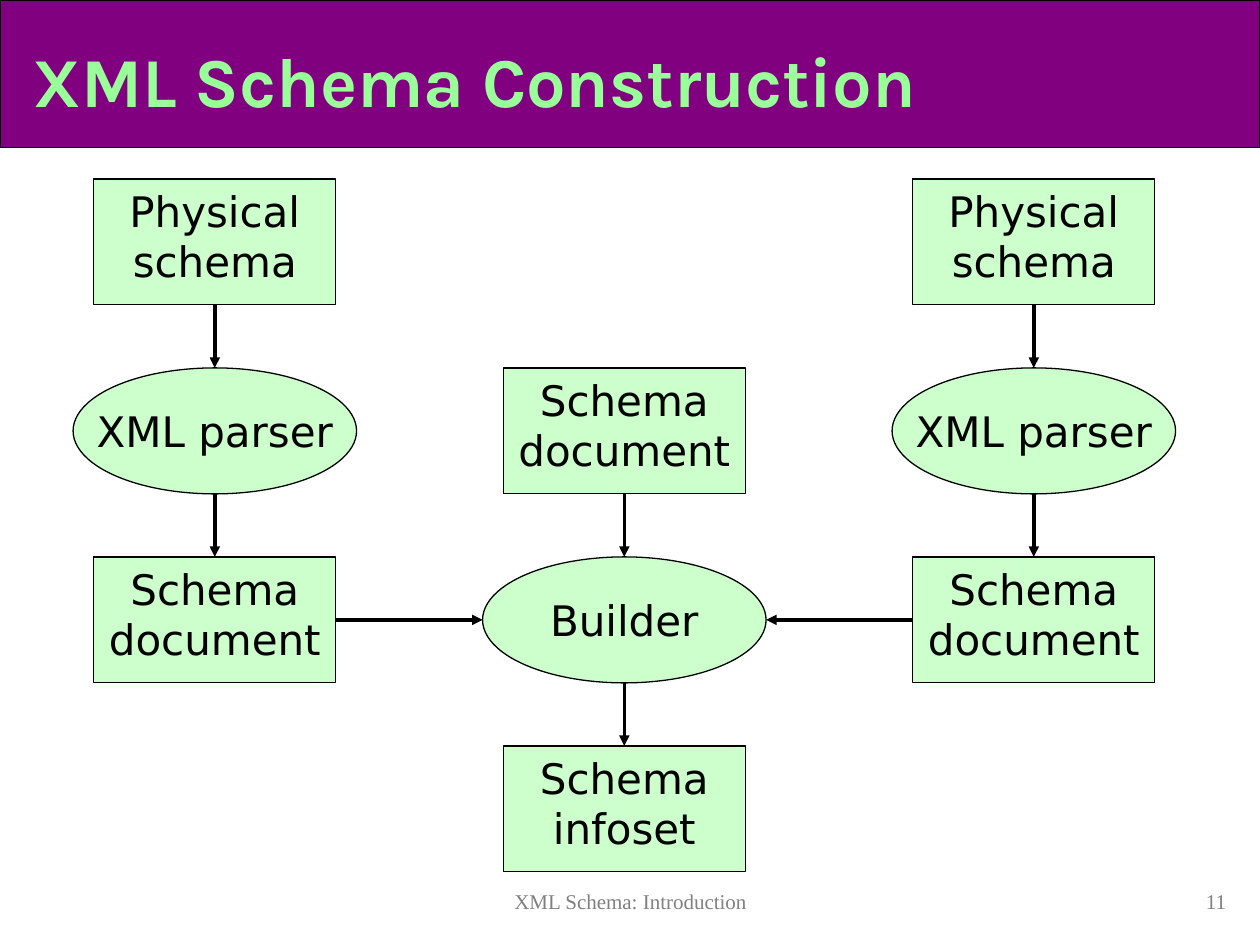
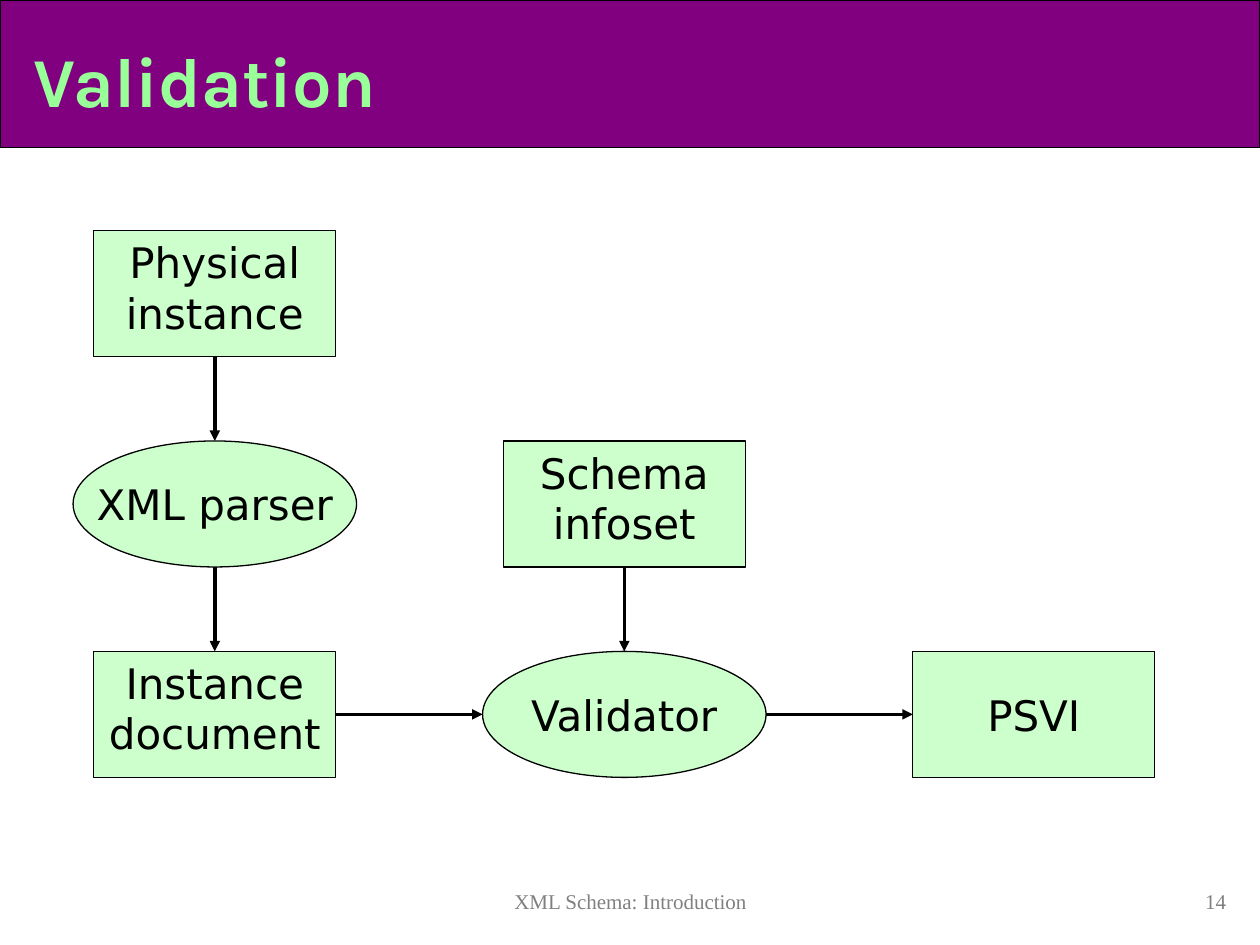
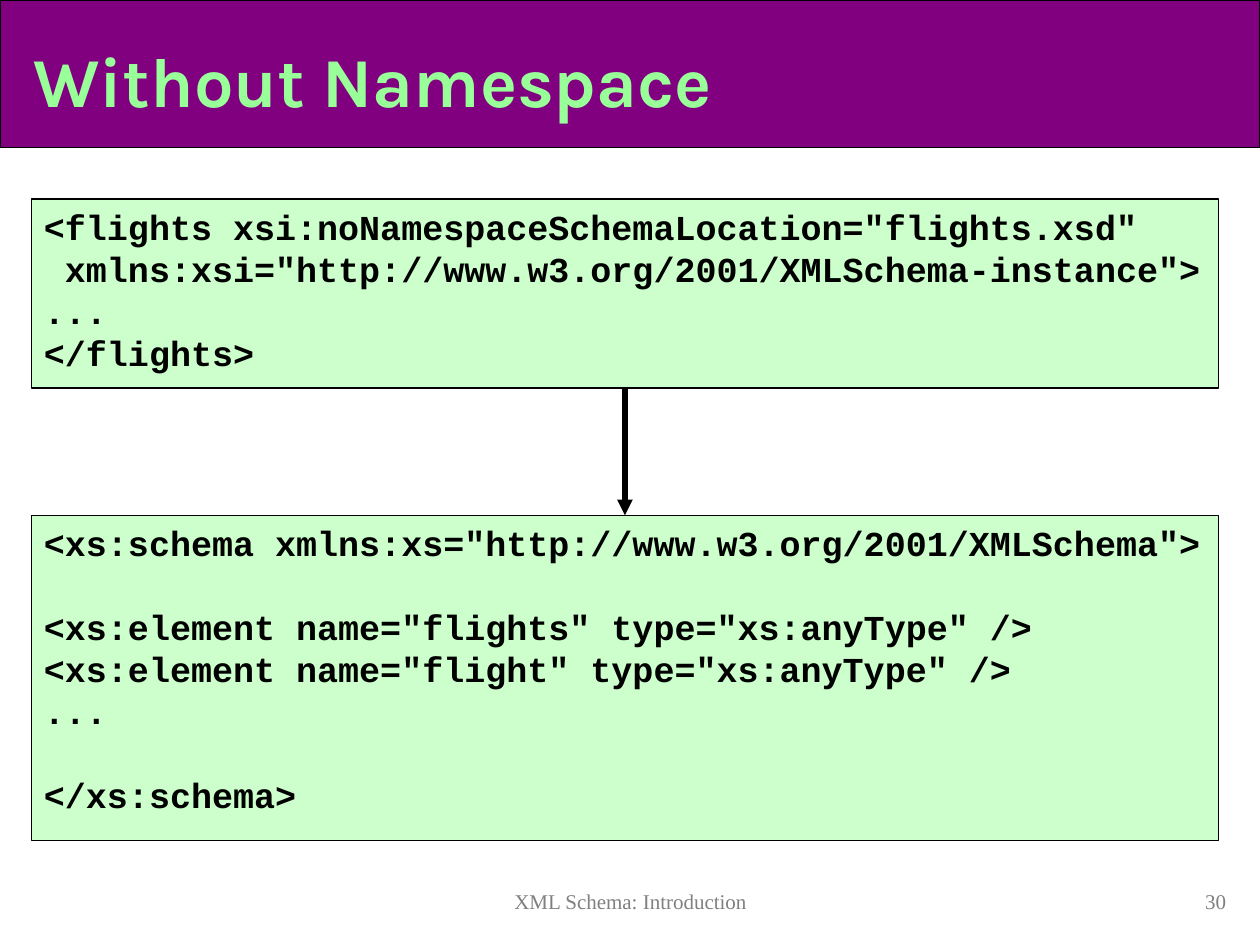
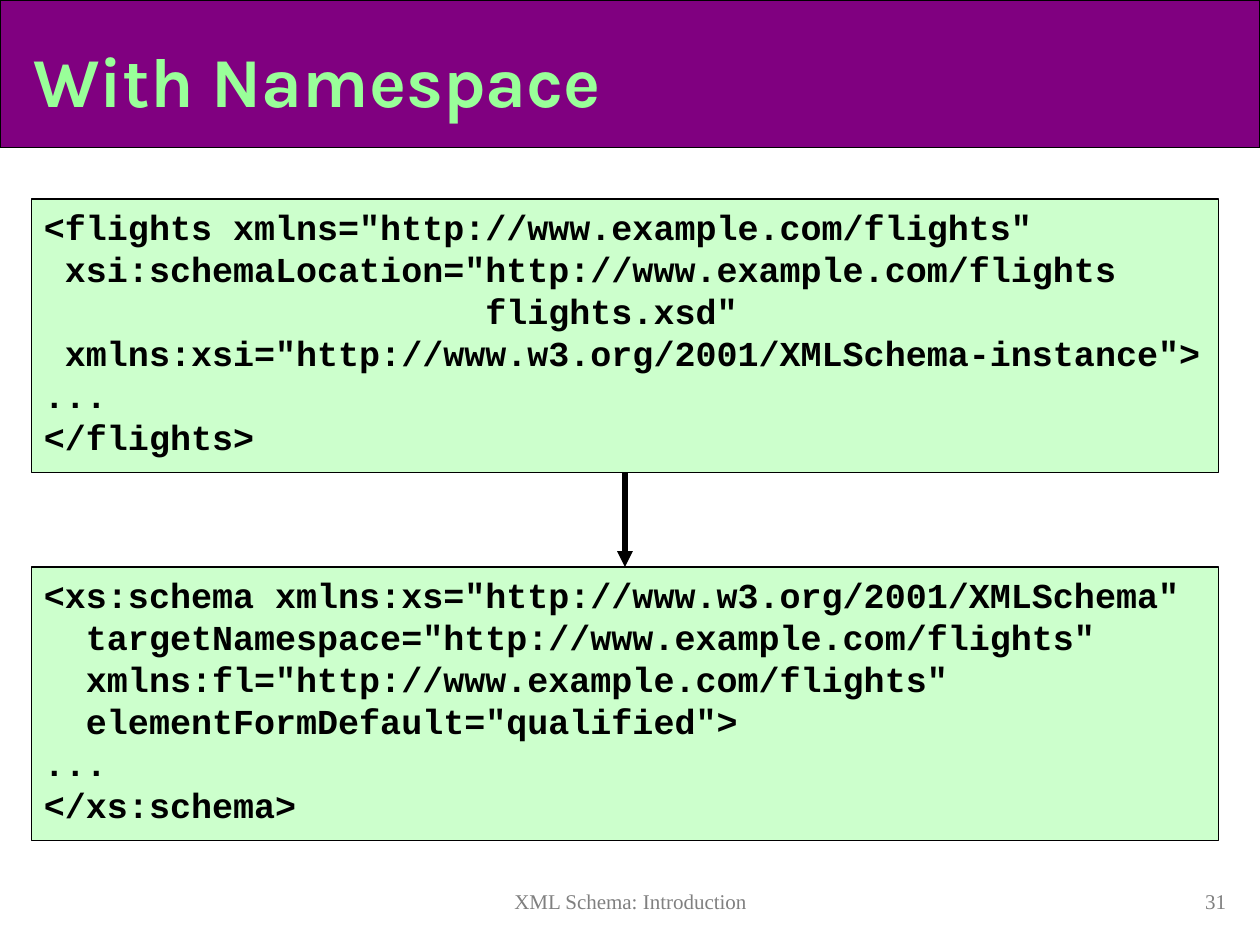
from pptx import Presentation
from pptx.dml.color import RGBColor
from pptx.enum import shapes, text
from pptx.oxml import parse_xml
from pptx.oxml.ns import nsdecls
from pptx.util import Inches, Pt

COLORS = {
    "band": "800080",
    "title": "99FF99",
    "panel": "CCFFCC",
    "ink": "000000",
    "footer": "808080",
}
TITLE_FONT = "Karla"
NODE_FONT = "DejaVu Sans"
CODE_FONT = "Courier New"
FOOTER_FONT = "Times New Roman"

NODE_HEIGHT = 1
BOX_WIDTH = 1.92
OVAL_WIDTH = 2.25
LINE_FACTOR = 1.2
TOP, LEFT, BOTTOM, RIGHT = range(4)
START, CENTER, END = text.PP_ALIGN.LEFT, text.PP_ALIGN.CENTER, text.PP_ALIGN.RIGHT
RECT, OVAL = shapes.MSO_SHAPE.RECTANGLE, shapes.MSO_SHAPE.OVAL

CONSTRUCTION = {
    "left source": (0, 0, RECT, "Physical schema"),
    "left parser": (0, 1, OVAL, "XML parser"),
    "left document": (0, 2, RECT, "Schema document"),
    "middle document": (1, 1, RECT, "Schema document"),
    "builder": (1, 2, OVAL, "Builder"),
    "infoset": (1, 3, RECT, "Schema infoset"),
    "right source": (2, 0, RECT, "Physical schema"),
    "right parser": (2, 1, OVAL, "XML parser"),
    "right document": (2, 2, RECT, "Schema document"),
}
CONSTRUCTION_LINKS = [
    ("left source", BOTTOM, "left parser", TOP),
    ("left parser", BOTTOM, "left document", TOP),
    ("right source", BOTTOM, "right parser", TOP),
    ("right parser", BOTTOM, "right document", TOP),
    ("left document", RIGHT, "builder", LEFT),
    ("right document", LEFT, "builder", RIGHT),
    ("middle document", BOTTOM, "builder", TOP),
    ("builder", BOTTOM, "infoset", TOP),
]

VALIDATION = {
    "source": (0, 0, RECT, "Physical instance"),
    "parser": (0, 1, OVAL, "XML parser"),
    "document": (0, 2, RECT, "Instance document"),
    "infoset": (1, 1, RECT, "Schema infoset"),
    "validator": (1, 2, OVAL, "Validator"),
    "result": (2, 2, RECT, "PSVI"),
}
VALIDATION_LINKS = [
    ("source", BOTTOM, "parser", TOP),
    ("parser", BOTTOM, "document", TOP),
    ("document", RIGHT, "validator", LEFT),
    ("validator", RIGHT, "result", LEFT),
    ("infoset", BOTTOM, "validator", TOP),
]

PLAIN_INSTANCE = """<flights xsi:noNamespaceSchemaLocation="flights.xsd"
 xmlns:xsi="http://www.w3.org/2001/XMLSchema-instance">
...
</flights>"""
PLAIN_SCHEMA = """<xs:schema xmlns:xs="http://www.w3.org/2001/XMLSchema">

<xs:element name="flights" type="xs:anyType" />
<xs:element name="flight" type="xs:anyType" />
...

</xs:schema>"""
QUALIFIED_INSTANCE = """<flights xmlns="http://www.example.com/flights"
 xsi:schemaLocation="http://www.example.com/flights
                     flights.xsd"
 xmlns:xsi="http://www.w3.org/2001/XMLSchema-instance">
...
</flights>"""
QUALIFIED_SCHEMA = """<xs:schema xmlns:xs="http://www.w3.org/2001/XMLSchema"
  targetNamespace="http://www.example.com/flights"
  xmlns:fl="http://www.example.com/flights"
  elementFormDefault="qualified">
...
</xs:schema>"""


def color(name):
    return RGBColor.from_string(COLORS[name])


def add_panel(slide, kind, box, fill):
    panel = slide.shapes.add_shape(kind, *map(Inches, box))
    panel.shadow.inherit = False
    panel.fill.solid()
    panel.fill.fore_color.rgb = color(fill)
    panel.line.color.rgb = color("ink")
    panel.line.width = Pt(0.75)
    return panel


def write(shape, content, font, size, ink="ink", bold=False, align=START,
          middle=False, wrap=True, spaced=False):
    frame = shape.text_frame
    frame.word_wrap = wrap
    frame.vertical_anchor = text.MSO_ANCHOR.MIDDLE if middle else text.MSO_ANCHOR.TOP
    line_height = size * LINE_FACTOR
    paragraph, gap = None, 0
    for line in content.split("\n"):
        if not line:
            gap += line_height
            continue
        paragraph = frame.add_paragraph() if paragraph else frame.paragraphs[0]
        paragraph.text = line
        paragraph.alignment = align
        if spaced:
            paragraph.line_spacing = Pt(line_height)
        if gap:
            paragraph.space_before = Pt(gap)
            gap = 0
        paragraph.font.name = font
        paragraph.font.size = Pt(size)
        paragraph.font.bold = bold
        paragraph.font.color.rgb = color(ink)


def add_label(slide, box, content, *style, **options):
    label = slide.shapes.add_textbox(*map(Inches, box))
    write(label, content, *style, **options)


def add_arrow(slide, start, end, width):
    arrow = slide.shapes.add_connector(
        shapes.MSO_CONNECTOR.STRAIGHT, *map(Inches, (*start, *end)))
    arrow.line.color.rgb = color("ink")
    arrow.line.width = Pt(width)
    arrow.line._get_or_add_ln().append(
        parse_xml(f'<a:tailEnd {nsdecls("a")} type="triangle"/>'))
    arrow._element.spPr.append(parse_xml(f'<a:effectLst {nsdecls("a")}/>'))
    return arrow


def add_frame(deck, title, number):
    slide = deck.slides.add_slide(deck.slide_layouts[6])
    add_panel(slide, RECT, (0, 0, 10, 1.17), "band")
    add_label(slide, (0.17, 0.17, 9.58, 0.92), title, TITLE_FONT, 40, "title",
              bold=True, middle=True)
    add_label(slide, (2.42, 7, 5.17, 0.33), "XML Schema: Introduction",
              FOOTER_FONT, 12, "footer", align=CENTER)
    add_label(slide, (7.75, 7, 2.08, 0.33), str(number),
              FOOTER_FONT, 12, "footer", align=END)
    return slide


def side_point(box, side):
    left, top, width, height = box
    across, down = {TOP: (0.5, 0), LEFT: (0, 0.5),
                    BOTTOM: (0.5, 1), RIGHT: (1, 0.5)}[side]
    return left + width * across, top + height * down


def draw_flow(slide, box, nodes, links):
    left, top, width, height = box
    last_row = max(row for _, row, _, _ in nodes.values())
    column_step = (width - OVAL_WIDTH) / 2
    row_step = (height - NODE_HEIGHT) / last_row
    places, drawn = {}, {}
    for key, (column, row, kind, caption) in nodes.items():
        node_width = BOX_WIDTH if kind == RECT else OVAL_WIDTH
        center = left + OVAL_WIDTH / 2 + column * column_step
        places[key] = (center - node_width / 2, top + row * row_step,
                       node_width, NODE_HEIGHT)
        drawn[key] = add_panel(slide, kind, places[key], "panel")
        one_line = kind == OVAL or " " not in caption
        write(drawn[key], caption, NODE_FONT, 24, align=CENTER,
              middle=one_line, wrap=kind == RECT, spaced=True)
    for source, source_side, target, target_side in links:
        arrow = add_arrow(slide, side_point(places[source], source_side),
                          side_point(places[target], target_side), 2)
        if nodes[source][2] == RECT:
            arrow.begin_connect(drawn[source], source_side)
        if nodes[target][2] == RECT:
            arrow.end_connect(drawn[target], target_side)


def draw_code_pair(slide, box, instance, instance_height, schema, schema_height):
    left, top, width, height = box
    schema_top = top + height - schema_height
    panels = []
    for code, panel_top, panel_height in (
            (instance, top, instance_height), (schema, schema_top, schema_height)):
        panel = add_panel(slide, RECT, (left, panel_top, width, panel_height), "panel")
        write(panel, code, CODE_FONT, 20, bold=True, spaced=True)
        panels.append(panel)
    middle = left + width / 2
    arrow = add_arrow(slide, (middle, top + instance_height), (middle, schema_top), 3)
    arrow.begin_connect(panels[0], BOTTOM)
    arrow.end_connect(panels[1], TOP)


def main():
    deck = Presentation()
    deck.slide_width, deck.slide_height = Inches(10), Inches(7.5)
    draw_flow(add_frame(deck, "XML Schema Construction", 11),
              (0.58, 1.42, 8.75, 5.5), CONSTRUCTION, CONSTRUCTION_LINKS)
    draw_flow(add_frame(deck, "Validation", 14),
              (0.58, 1.83, 8.75, 4.34), VALIDATION, VALIDATION_LINKS)
    code_area = (0.25, 1.58, 9.42, 5.09)
    draw_code_pair(add_frame(deck, "Without Namespace", 30), code_area,
                   PLAIN_INSTANCE, 1.5, PLAIN_SCHEMA, 2.58)
    draw_code_pair(add_frame(deck, "With Namespace", 31), code_area,
                   QUALIFIED_INSTANCE, 2.17, QUALIFIED_SCHEMA, 2.17)
    deck.save("out.pptx")


if __name__ == "__main__":
    main()
